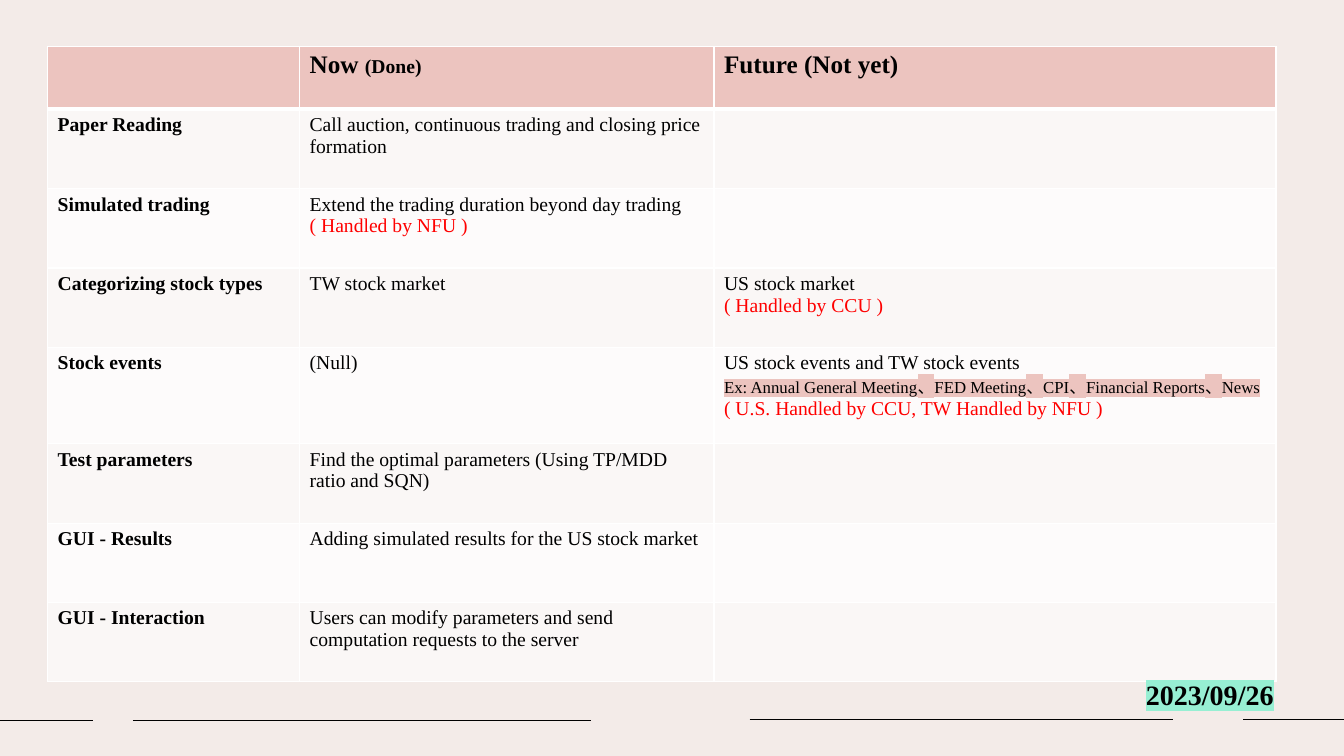
"""Build a slide with a progress table of done and future work."""
from lxml.etree import SubElement
from pptx import Presentation
from pptx.dml.color import RGBColor
from pptx.enum.shapes import MSO_CONNECTOR
from pptx.enum.text import MSO_AUTO_SIZE, PP_ALIGN
from pptx.oxml.ns import qn
from pptx.util import Pt

BACKGROUND = RGBColor(0xF3, 0xEB, 0xE8)
BLACK = RGBColor(0, 0, 0)
WHITE = RGBColor(0xFF, 0xFF, 0xFF)
RED = RGBColor(0xFF, 0, 0)
ROSE = RGBColor(0xEC, 0xC4, 0xBF)
MINT = RGBColor(0x97, 0xEF, 0xD3)
BANDS = (RGBColor(0xFD, 0xFB, 0xFB), RGBColor(0xFA, 0xF7, 0xF6))

HEADING = {"size": Pt(18), "bold": True}
HEADING_NOTE = {"size": Pt(14), "bold": True}
LABEL = {"size": Pt(14), "bold": True}
BODY = {"size": Pt(14), "bold": False}
EXAMPLE = {"size": Pt(12), "bold": False}
DATE = {"size": Pt(20), "bold": True}

FOOTER_LINES = [(0, 66.3, 514.5), (95, 422.3, 514.5),
                (535.5, 838, 514), (888, 960, 514)]
COLUMN_WIDTHS = (180, 296, 401.5)
HEADER_HEIGHT, ROW_HEIGHT = 45, 56.7
HEADER = ([], [[("Now ", HEADING), ("(Done)", HEADING_NOTE)]],
          [[("Future (Not yet)", HEADING)]])


def plain(text):
    """Return a paragraph of body text."""
    return [(text, BODY)]


def handled(text):
    """Return a red paragraph that names who handles the work."""
    return [(text, BODY, RED)]


TASKS = [
    ("Paper Reading",
     [plain("Call auction, continuous trading and closing price formation")], []),
    ("Simulated trading",
     [plain("Extend the trading duration beyond day trading"),
      handled("( Handled by NFU )")], []),
    ("Categorizing stock types", [plain("TW stock market")],
     [plain("US stock market"), handled("( Handled by CCU )")]),
    ("Stock events", [plain("(Null)")],
     [plain("US stock events and TW stock events"),
      [("Ex: Annual General Meeting、FED Meeting、CPI、Financial Reports、News",
        EXAMPLE, BLACK, ROSE)],
      handled("( U.S. Handled by CCU, TW Handled by NFU )")]),
    ("Test parameters",
     [plain("Find the optimal parameters (Using TP/MDD ratio and SQN)")], []),
    ("GUI - Results",
     [plain("Adding simulated results for the US stock market")], []),
    ("GUI - Interaction",
     [plain("Users can modify parameters and send computation requests to the server")],
     []),
]


def add_color(parent, color):
    """Append a solid colour to an XML element."""
    SubElement(parent, qn("a:srgbClr"), val=str(color))


def add_span(para, text, style, color=BLACK, highlight=None):
    """Add one formatted run to a paragraph."""
    span = para.add_run()
    span.text = text
    span.font.color.rgb = color
    if highlight is not None:
        properties = span.font._element
        add_color(SubElement(properties, qn("a:highlight")), highlight)
    for name, value in {**style, "name": "Times New Roman"}.items():
        setattr(span.font, name, value)


def write_paragraphs(frame, paragraphs):
    """Fill a text frame with paragraphs of spans."""
    for index, spans in enumerate(paragraphs):
        para = frame.add_paragraph() if index else frame.paragraphs[0]
        for span in spans:
            add_span(para, *span)


def format_cell(cell, fill, bottom_width):
    """Give a cell white borders and a solid fill."""
    properties = cell._tc.get_or_add_tcPr()
    for side, width in {"L": 1, "R": 1, "T": 1, "B": bottom_width}.items():
        border = SubElement(properties, qn(f"a:ln{side}"), w=str(Pt(width)))
        add_color(SubElement(border, qn("a:solidFill")), WHITE)
    cell.fill.solid()
    cell.fill.fore_color.rgb = fill


def add_progress_table(page):
    """Add the table of tasks with its heading row."""
    rows = [HEADER] + [([[(label, LABEL)]], now, future)
                       for label, now, future in TASKS]
    height = HEADER_HEIGHT + ROW_HEIGHT * len(TASKS)
    table = page.shapes.add_table(
        len(rows), len(COLUMN_WIDTHS), Pt(34), Pt(33),
        Pt(sum(COLUMN_WIDTHS)), Pt(height)).table
    for column, width in zip(table.columns, COLUMN_WIDTHS):
        column.width = Pt(width)
    for index, contents in enumerate(rows):
        table.rows[index].height = Pt(ROW_HEIGHT if index else HEADER_HEIGHT)
        fill = BANDS[index % 2] if index else ROSE
        for cell, paragraphs in zip(table.rows[index].cells, contents):
            format_cell(cell, fill, 1 if index else 3)
            write_paragraphs(cell.text_frame, paragraphs)


def add_footer_line(page, start, end, top):
    """Add one thin horizontal line."""
    line = page.shapes.add_connector(
        MSO_CONNECTOR.STRAIGHT, Pt(start), Pt(top), Pt(end), Pt(top))
    line.line.color.rgb = BLACK
    line.line.width = Pt(1)
    SubElement(line._element.spPr, qn("a:effectLst"))


def add_date(page):
    """Add the highlighted date at the lower right."""
    box = page.shapes.add_textbox(Pt(811.4), Pt(480.2), Pt(106.6), Pt(31.5))
    frame = box.text_frame
    for name, value in {"word_wrap": False,
                        "auto_size": MSO_AUTO_SIZE.SHAPE_TO_FIT_TEXT}.items():
        setattr(frame, name, value)
    frame.paragraphs[0].alignment = PP_ALIGN.LEFT
    write_paragraphs(frame, [[("2023/09/26", DATE, BLACK, MINT)]])


def main():
    """Build and save the deck."""
    deck = Presentation()
    deck.slide_width, deck.slide_height = Pt(960), Pt(540)
    page = deck.slides.add_slide(deck.slide_layouts[6])
    page.background.fill.solid()
    page.background.fill.fore_color.rgb = BACKGROUND
    for start, end, top in FOOTER_LINES:
        add_footer_line(page, start, end, top)
    add_progress_table(page)
    add_date(page)
    deck.save("out.pptx")


if __name__ == "__main__":
    main()
